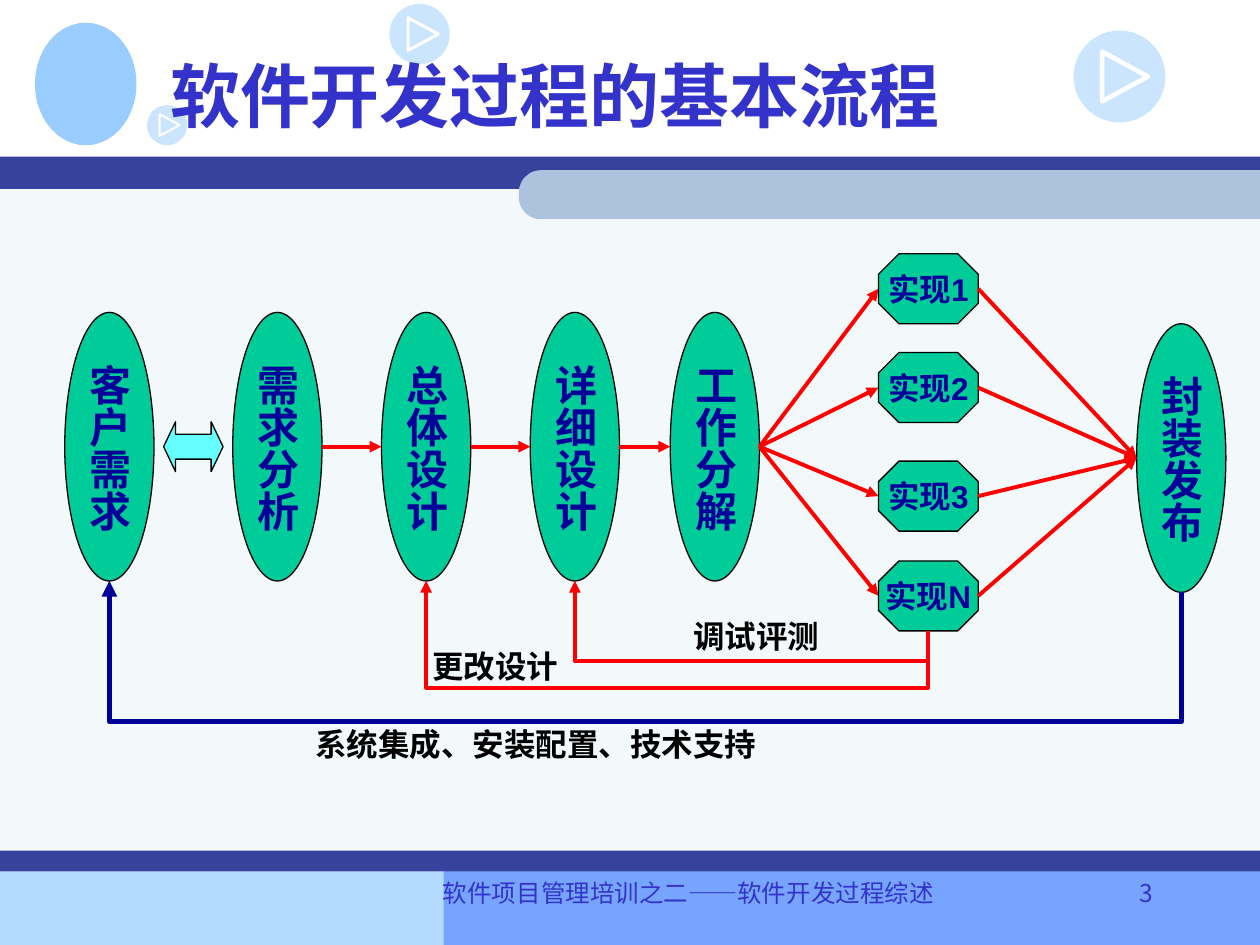
from lxml.etree import SubElement
from pptx import Presentation
from pptx.dml.color import RGBColor
from pptx.enum.shapes import MSO_CONNECTOR as LINK, MSO_SHAPE as KIND
from pptx.enum.text import MSO_ANCHOR, MSO_AUTO_SIZE, PP_ALIGN
from pptx.oxml.ns import qn
from pptx.util import Pt

# Content
TITLE = "软件开发过程的基本流程"
STAGES = [("客户需求", 37, 178.5), ("需求分析", 133, 178.5), ("总体设计", 218, 178.5),
          ("详细设计", 303, 178.5), ("工作分解", 383, 178.5), ("封装发布", 649.5, 185)]
TASKS = [("实现1", 145), ("实现2", 201.5), ("实现3", 263.5), ("实现N", 320.5)]
NOTES = [("调试评测", 389, 349), ("系统集成、安装配置、技术支持", 173, 411),
         ("更改设计", 240, 366)]
FOOTER, PAGE = "软件项目管理培训之二——软件开发过程综述", "3"

# Style
HEX = {"title": "3333CC", "text": "000099", "black": "000000", "white": "FFFFFF",
       "node": "00CC99", "swap": "66FFFF", "red": "FF0000", "sky": "99CCFF",
       "pale": "F3F8FB", "bar": "36429B", "tab": "ADC3DD",
       "light": "B5DAFF", "mid": "77A4FF"}
BANDS = [("light", 0, 498, 306, 42), ("mid", 253.5, 497.5, 466.5, 42.5),
         ("pale", 0, 101, 720, 396.5), ("bar", 0, 89.5, 720, 18.5),
         ("bar", 0, 486, 720, 12)]
DISCS = [(222.5, 2.25, 34.5), (613.5, 17.5, 52.5), (84, 60, 23)]
SANS, KOREAN = "Noto Sans CJK SC", "Noto Sans CJK KR"
OVAL_W, OVAL_H = 51, 153.5
TASK_X, TASK_W, TASK_H = 502, 57, 40
NOTE_SIZE, NOTE_PAD = 18, 18


def color(key):
    return RGBColor.from_string(HEX[key])


def shape(kind, box, fill=None, line=None, width=0.75):
    item = slide.shapes.add_shape(kind, *map(Pt, box))
    item.shadow.inherit = False
    if fill:
        item.fill.solid()
        item.fill.fore_color.rgb = color(fill)
    else:
        item.fill.background()
    if line:
        item.line.color.rgb = color(line)
        item.line.width = Pt(width)
    else:
        item.line.fill.background()
    return item


def write(item, text, size, tone, bold=True, face="Arial", east=SANS,
          align=PP_ALIGN.LEFT):
    para = item.text_frame.paragraphs[0]
    para.text = text
    para.alignment = align
    font = para.font
    font.size, font.bold, font.name = Pt(size), bold, face
    font.color.rgb = color(tone)
    props = para._p.pPr.find(qn("a:defRPr"))
    SubElement(props, qn("a:ea")).set("typeface", east)


def label(text, box, size, tone, wrap=False, **style):
    item = slide.shapes.add_textbox(*map(Pt, box))
    item.text_frame.word_wrap = wrap
    if not wrap:
        item.text_frame.auto_size = MSO_AUTO_SIZE.SHAPE_TO_FIT_TEXT
    write(item, text, size, tone, **style)


def node(kind, box, text, size):
    item = shape(kind, box, "node", "black")
    frame = item.text_frame
    frame.word_wrap = False
    frame.vertical_anchor = MSO_ANCHOR.MIDDLE
    write(item, text, size, "text", align=PP_ALIGN.CENTER)
    return item


def arrow(kind, start, end, tone="red", width=2.25):
    link = slide.shapes.add_connector(kind, *map(Pt, start + end))
    link.line.color.rgb = color(tone)
    link.line.width = Pt(width)
    SubElement(link.line._get_or_add_ln(), qn("a:tailEnd")).set("type", "triangle")
    SubElement(link._element.spPr, qn("a:effectLst"))
    return link


def loop(start, end, low, tone="red", width=2.25):
    """Arrow that drops from start to low, runs left and rises to end."""
    (x1, y1), (x2, y2) = start, end
    mid_x, mid_y = (x1 + x2) / 2, (y1 + y2) / 2
    half_w, half_h = (y1 - y2) / 2, (x1 - x2) / 2
    link = arrow(LINK.ELBOW, (mid_x - half_w, mid_y + half_h),
                 (mid_x + half_w, mid_y - half_h), tone, width)
    props = link._element.spPr
    props.find(qn("a:xfrm")).set("rot", str(270 * 60000))
    guide = SubElement(props.find(qn("a:prstGeom")).find(qn("a:avLst")), qn("a:gd"))
    guide.set("name", "adj1")
    guide.set("fmla", f"val {round((y1 - low) / (y1 - y2) * 100000)}")


deck = Presentation()
deck.slide_width, deck.slide_height = Pt(720), Pt(540)
slide = deck.slides.add_slide(deck.slide_layouts[5])

# Backdrop bands and the rounded tab, turned to face left
for fill, *box in BANDS:
    shape(KIND.RECTANGLE, box, fill)
tab = shape(KIND.ROUND_2_SAME_RECTANGLE, (494.25, -100.5, 28, 423.5), "tab")
tab.rotation = 270
tab.adjustments[0] = 0.45

# Emblem and play discs
shape(KIND.OVAL, (20, 13, 58, 70), "sky")
for x, y, d in DISCS:
    disc = shape(KIND.OVAL, (x, y, d, d), "sky")
    tint = disc._element.spPr.find(qn("a:solidFill"))[0]
    SubElement(tint, qn("a:alpha")).set("val", "50000")
    wide, tall = d * 0.54, d * 0.5
    sign = shape(KIND.ISOSCELES_TRIANGLE,
                 (x + d * 0.56 - wide / 2, y + d / 2 - tall / 2, wide, tall),
                 None, "white", d * 0.05)
    sign.rotation = 90

# Title, in front of the backdrop
title = slide.shapes.title
title.left, title.top, title.width, title.height = map(Pt, (90, 12, 612, 84.5))
title.text_frame.vertical_anchor = MSO_ANCHOR.MIDDLE
write(title, TITLE, 40, "title", face=SANS)
slide.shapes._spTree.append(title._element)

# Stages and parallel tasks
for text, x, y in STAGES:
    oval = node(KIND.OVAL, (x, y, OVAL_W, OVAL_H), text, 24)
    frame = oval.text_frame
    frame.margin_left = frame.margin_right = Pt(3.6)
    frame.margin_top = frame.margin_bottom = Pt(7.2)
    frame._txBody.bodyPr.set("vert", "eaVert")
for text, y in TASKS:
    task = node(KIND.OCTAGON, (TASK_X, y, TASK_W, TASK_H), text, 18)
    task.adjustments[0] = 0.293
swap = shape(KIND.LEFT_RIGHT_ARROW, (93.5, 241, 34, 28.5), "swap", "black")
swap.adjustments[0], swap.adjustments[1] = 0.5, 0.239

# Forward arrows
left = [(x, y + OVAL_H / 2) for _, x, y in STAGES]
right = [(x + OVAL_W, y) for x, y in left]
foot = [(x + OVAL_W / 2, y + OVAL_H) for _, x, y in STAGES]
for i in range(1, 4):
    arrow(LINK.STRAIGHT, right[i], left[i + 1])
for _, y in TASKS:
    mid = y + TASK_H / 2
    arrow(LINK.STRAIGHT, right[4], (TASK_X, mid))
    arrow(LINK.STRAIGHT, (TASK_X + TASK_W, mid), left[5])

# Feedback loops
base = (TASK_X + TASK_W / 2, TASKS[-1][1] + TASK_H)
loop(base, foot[2], 393)
loop(base, foot[3], 378)
loop(foot[5], foot[0], 412.5, "text", 3)

# Notes, each wide enough for one line, and footer
for text, x, y in NOTES:
    label(text, (x, y, len(text) * NOTE_SIZE + NOTE_PAD, 29), NOTE_SIZE, "black")
plain = dict(wrap=True, bold=False, face=KOREAN, east=KOREAN)
label(FOOTER, (246, 498, 375, 36), 14, "title", **plain)
label(PAGE, (621, 498, 45, 36), 14, "title", align=PP_ALIGN.RIGHT, **plain)

deck.save("out.pptx")
